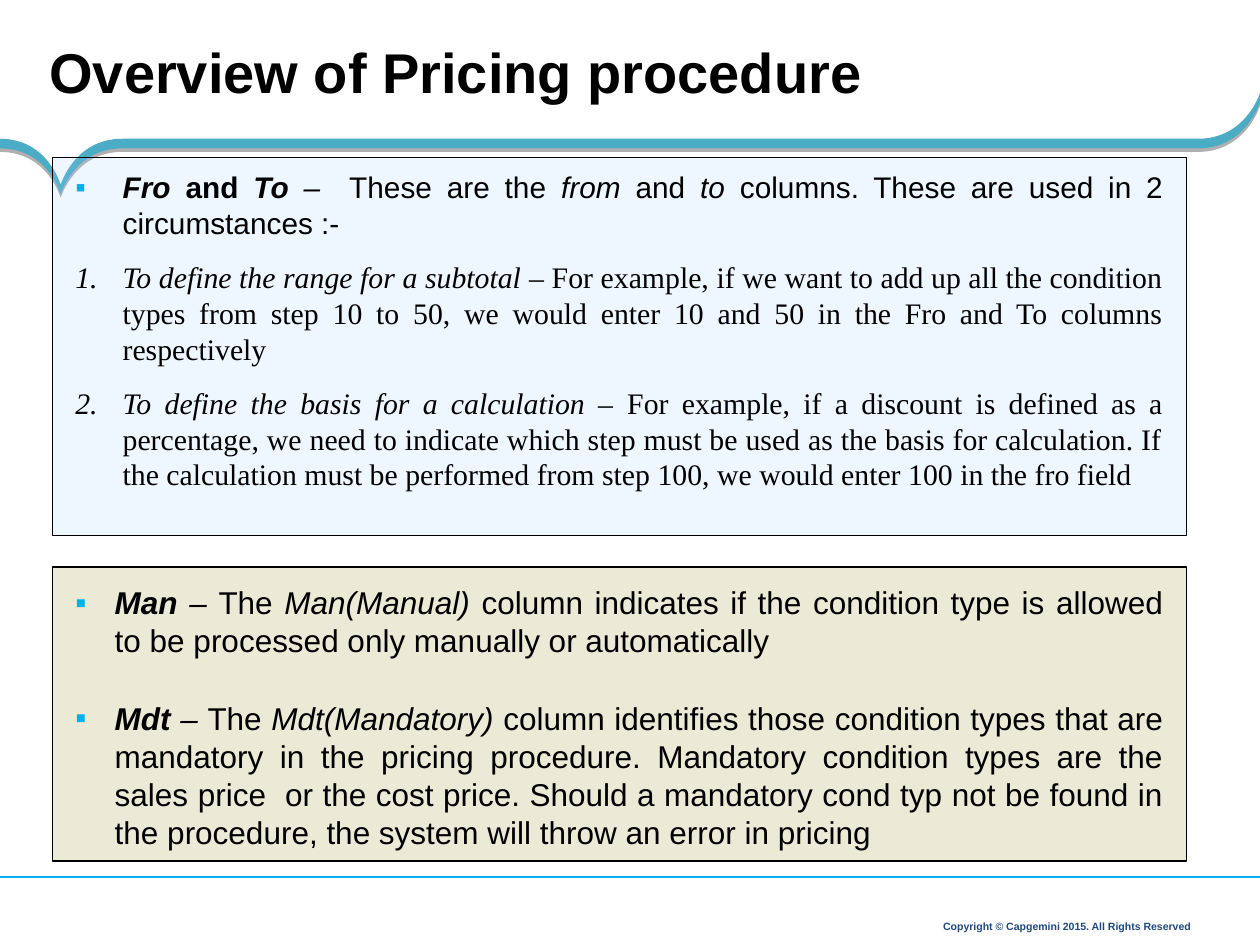
import pptx
import pptx.util
import pptx.dml.color
import pptx.enum.shapes
import pptx.enum.text
from dataclasses import dataclass
from lxml import etree

Pt = pptx.util.Pt
RGB = pptx.dml.color.RGBColor.from_string
ALIGN = pptx.enum.text.PP_ALIGN
ANCHOR = pptx.enum.text.MSO_ANCHOR
A = "{http://schemas.openxmlformats.org/drawingml/2006/main}"


@dataclass(frozen=True)
class Theme:
    black: str = "000000"
    band: str = "4BACC6"
    accent: str = "00B0F0"
    navy: str = "1F497D"
    blue: str = "99CCFF"
    olive: str = "808000"
    sans: str = "Arial"
    serif: str = "Times New Roman"
    title: float = 32
    body: float = 18
    small: float = 17
    footer: float = 6


T = Theme()


def add_text(box, paras, size, color=T.black, align=ALIGN.LEFT, anchor=ANCHOR.TOP,
             inset=(0, 0, 0, 0), indent=0, spacing=1.0, before=0):
    """Each paragraph is (bullet, font, runs); each run is (text, style letters b, i)."""
    tf = s.shapes.add_textbox(*map(Pt, box)).text_frame
    tf.word_wrap = True
    tf.vertical_anchor = anchor
    tf.margin_left, tf.margin_top, tf.margin_right, tf.margin_bottom = map(Pt, inset)
    for i, (bullet, font, runs) in enumerate(paras):
        p = tf.add_paragraph() if i else tf.paragraphs[0]
        if bullet:
            pPr = p._p.get_or_add_pPr()
            pPr.set("marL", str(Pt(indent)))
            pPr.set("indent", str(-Pt(indent)))
            bu_color = etree.SubElement(pPr, A + "buClr")
            etree.SubElement(bu_color, A + "srgbClr",
                             val=T.accent if bullet == "▪" else T.black)
            if bullet == "▪":
                etree.SubElement(pPr, A + "buFont", typeface=T.sans)
                etree.SubElement(pPr, A + "buChar", char=bullet)
            else:
                etree.SubElement(pPr, A + "buAutoNum", type="arabicPeriod")
        p.alignment = align
        p.line_spacing = spacing
        if i:
            p.space_before = Pt(before)
        for text, style in runs:
            r = p.add_run()
            r.text = text
            r.font.name = font
            r.font.size = Pt(size)
            r.font.color.rgb = RGB(color)
            r.font.bold = "b" in style
            r.font.italic = "i" in style


prs = pptx.Presentation()
prs.slide_width, prs.slide_height = Pt(720), Pt(540)
s = prs.slides.add_slide(prs.slide_layouts[6])

# Curved band under the title: one point is a line, three points are a curve
top, low, tip, low_tip = 79.3, 84.8, 105.6, 111
segments = [
    [(69.8, top)],
    [(42.5, top), (34.7, tip), (34.7, tip)],
    [(34.7, tip), (27.4, top), (0, top)],
    [(0, low)],
    [(27.4, low), (34.7, low_tip), (34.7, low_tip)],
    [(34.7, low_tip), (42.5, low), (69.8, low)],
    [(684.6, low)],
    [(712, low), (720, 58.5), (720, 58.5)],
    [(720, 53.2)],
    [(720, 53.2), (712, top), (684.6, top)],
]
fb = s.shapes.build_freeform(Pt(684.6), Pt(top), scale=1.0)
fb.add_line_segments([(Pt(x), Pt(y)) for seg in segments for x, y in seg], close=True)
sp = fb.convert_to_shape()
lines = iter(list(sp._element.iter(A + "lnTo")))
for seg in segments:
    group = [next(lines) for _ in seg]
    if len(seg) == 3:
        bezier = etree.Element(A + "cubicBezTo")
        group[0].addprevious(bezier)
        for line in group:
            bezier.append(line[0])
            line.getparent().remove(line)
sp.shadow.inherit = False
sp.fill.solid()
sp.fill.fore_color.rgb = RGB(T.band)
sp.line.fill.background()
shadow = etree.SubElement(sp._element.spPr.find(A + "effectLst"), A + "outerShdw",
                          blurRad="0", dist=str(Pt(2)), dir="5400000", rotWithShape="0")
shade = etree.SubElement(shadow, A + "srgbClr", val=T.black)
etree.SubElement(shade, A + "alpha", val="31000")

# Footer rule and copyright line
cx = s.shapes.add_connector(pptx.enum.shapes.MSO_CONNECTOR.STRAIGHT,
                            Pt(720), Pt(501.1), Pt(0), Pt(501.1))
cx.line.color.rgb = RGB(T.accent)
cx.line.width = Pt(0.75)
etree.SubElement(cx._element.spPr, A + "effectLst")
add_text((490, 521.6, 193.5, 14.4),
         [(None, T.sans, [("Copyright © Capgemini 2015. All Rights Reserved", "b")])],
         T.footer, color=T.navy, align=ALIGN.RIGHT, anchor=ANCHOR.BOTTOM,
         inset=(3, 3, 3, 3), spacing=0.9)

# Tinted panels
for y, height, color in ((324, 168, T.olive), (90, 216, T.blue)):
    sp = s.shapes.add_shape(pptx.enum.shapes.MSO_SHAPE.RECTANGLE,
                            Pt(30), Pt(y), Pt(648), Pt(height))
    sp.shadow.inherit = False
    sp.fill.solid()
    sp.fill.fore_color.rgb = RGB(color)
    tint = sp._element.spPr.find(A + "solidFill")[0]
    etree.SubElement(tint, A + "alpha", val="16000")
    sp.line.color.rgb = RGB(T.black)
    sp.line.width = Pt(1)

# Title
add_text((28.2, 21.6, 687.6, 52.6),
         [(None, T.sans, [("Overview of Pricing procedure", "b")])], T.title)

# Panel texts
from_to = [
    ("▪", T.sans, [
        ("Fro ", "bi"), ("and ", "b"), ("To ", "bi"), ("– ", "i"),
        (" These are the ", ""), ("from", "i"), (" and ", ""), ("to", "i"),
        (" columns. These are used in 2 circumstances :-", "")]),
    ("1.", T.serif, [
        ("To define the range for a subtotal", "i"),
        (" – For example, if we want to add up all the condition types from step 10 "
         "to 50, we would enter 10 and 50 in the Fro and To columns respectively", "")]),
    ("1.", T.serif, [
        ("To define the basis for a calculation – ", "i"),
        ("For example, if a discount is defined as a percentage, we need to indicate "
         "which step must be used as the basis for calculation. If the calculation must "
         "be performed from step 100, we would enter 100 in the fro field", "")]),
]
manual = [("▪", T.sans, [
    ("Man", "bi"), (" – ", "i"), ("The ", ""), ("Man(Manual) ", "i"),
    ("column indicates if the condition type is allowed to be processed only manually "
     "or automatically", "")])]
mandatory = [("▪", T.sans, [
    ("Mdt", "bi"), (" – ", "i"), ("The ", ""), ("Mdt(Mandatory) ", "i"),
    ("column identifies those condition types that are mandatory in the pricing "
     "procedure. Mandatory condition types are the sales price  or the cost price. "
     "Should a mandatory cond typ not be found in the procedure, the system will throw "
     "an error in pricing", "")])]

for y, height, paras, size, indent in ((93, 192.2, from_to, T.small, 27),
                                       (329.8, 50.4, manual, T.body, 22.5),
                                       (396, 93.6, mandatory, T.body, 22.5)):
    add_text((36, y, 635.8, height), paras, size, align=ALIGN.JUSTIFY,
             inset=(7.2, 3.6, 7.2, 3.6), indent=indent, before=10.6)

prs.save("out.pptx")
